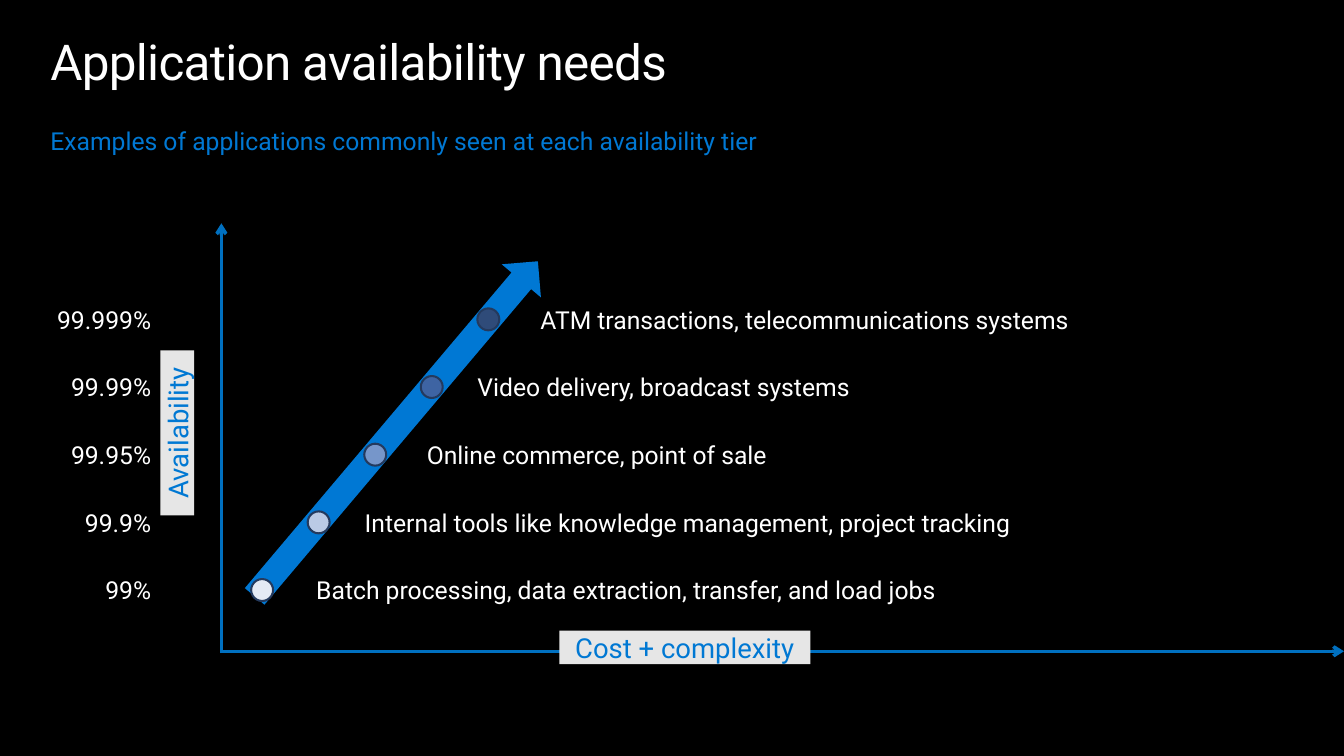
import pptx
import pptx.util
import pptx.dml.color
import pptx.enum.shapes
import pptx.enum.text
from lxml import etree

Pt = pptx.util.Pt
KIND = pptx.enum.shapes.MSO_SHAPE
ALIGN = pptx.enum.text.PP_ALIGN
ANCHOR = pptx.enum.text.MSO_ANCHOR
NS = "http://schemas.openxmlformats.org/drawingml/2006/main"

hues = {
    "back": "000000", "text": "FFFFFF", "blue": "0078D3", "arrow": "0078D4",
    "axis": "0070C0", "tag": "E6E6E6", "rim": "243A5E",
}


def rgb(name):
    return pptx.dml.color.RGBColor.from_string(hues.get(name, name))


def write(shape, text, size=18, color="text", align=ALIGN.LEFT, anchor=ANCHOR.TOP):
    frame = shape.text_frame
    form = {
        "word_wrap": True, "vertical_anchor": anchor, "margin_left": 0,
        "margin_right": 0, "margin_top": 0, "margin_bottom": 0,
    }
    for key, value in form.items():
        setattr(frame, key, value)
    para = frame.paragraphs[0]
    para.alignment = align
    run = para.add_run()
    run.text = text
    for key, value in {"name": "Roboto", "size": Pt(size)}.items():
        setattr(run.font, key, value)
    run.font.color.rgb = rgb(color)
    return run


# Slide
deck = pptx.Presentation()
deck.slide_width, deck.slide_height = Pt(979.2), Pt(550.8)
slide = deck.slides.add_slide(deck.slide_layouts[6])
slide.background.fill.solid()
slide.background.fill.fore_color.rgb = rgb("back")
shapes = slide.shapes

# Title and subtitle
title = shapes.add_textbox(Pt(36.7), Pt(33.8), Pt(908), Pt(32.4))
run = write(title, "Application availability needs", 36)
run.font._element.set("spc", "-50")
title.text_frame.paragraphs[0].line_spacing = Pt(32)

lead = shapes.add_textbox(Pt(36.7), Pt(87.8), Pt(527.8), Pt(29.5))
write(lead, "Examples of applications commonly seen at each availability tier", color="blue")
lead.text_frame.margin_top = lead.text_frame.margin_bottom = Pt(3.6)

# Axes
for x1, y1, x2, y2 in [(161.3, 475.9, 161.3, 162.7), (161.3, 474.5, 979.2, 474.5)]:
    axis = shapes.add_connector(
        pptx.enum.shapes.MSO_CONNECTOR.STRAIGHT, Pt(x1), Pt(y1), Pt(x2), Pt(y2))
    axis.line.width = Pt(2.5)
    axis.line.color.rgb = rgb("axis")
    etree.SubElement(axis.line._get_or_add_ln(), f"{{{NS}}}tailEnd", type="arrow")
    etree.SubElement(axis._element.spPr, f"{{{NS}}}effectLst")

# Axis tags
tags = [
    ("Cost + complexity", 407.5, 459.4, 182.9, 0),
    ("Availability", 69.1, 303.1, 120.2, 270),
]
for text, left, top, width, turn in tags:
    tag = shapes.add_shape(KIND.RECTANGLE, Pt(left), Pt(top), Pt(width), Pt(24.5))
    tag.shadow.inherit = False
    tag.rotation = turn
    tag.fill.solid()
    tag.fill.fore_color.rgb = rgb("tag")
    tag.line.fill.background()
    write(tag, text, 20, "blue", ALIGN.CENTER, ANCHOR.MIDDLE)

# Rising arrow
arrow = shapes.add_shape(KIND.UP_ARROW, Pt(270), Pt(152.6), Pt(37.4), Pt(319.7))
arrow.shadow.inherit = False
arrow.rotation = 40.2
arrow.fill.solid()
arrow.fill.fore_color.rgb = rgb("arrow")
arrow.line.fill.background()

# Tiers, from the lowest up: level, example, left of example, dot fill
tiers = [
    ("99%", "Batch processing, data extraction, transfer, and load jobs", 230.4, "E4EAF4"),
    ("99.9%", "Internal tools like knowledge management, project tracking", 265.7, "BACAE5"),
    ("99.95%", "Online commerce, point of sale", 311, "7696CA"),
    ("99.99%", "Video delivery, broadcast systems", 347.8, "3E64A3"),
    ("99.999%", "ATM transactions, telecommunications systems", 393.8, "2F4B79"),
]
for i, (level, text, left, fill) in enumerate(tiers):
    rise = 49.3 * i
    dot = shapes.add_shape(
        KIND.OVAL, Pt(183 + 41.2 * i), Pt(421.9 - rise), Pt(16), Pt(16))
    dot.shadow.inherit = False
    dot.fill.solid()
    dot.fill.fore_color.rgb = rgb(fill)
    dot.line.width = Pt(1.5)
    dot.line.color.rgb = rgb("rim")

    label = shapes.add_textbox(Pt(left), Pt(419 - rise), Pt(522), Pt(22.3))
    write(label, text)
    mark = shapes.add_textbox(Pt(36.7), Pt(419 - rise), Pt(73.4), Pt(22.3))
    write(mark, level, align=ALIGN.RIGHT)

deck.save("out.pptx")
